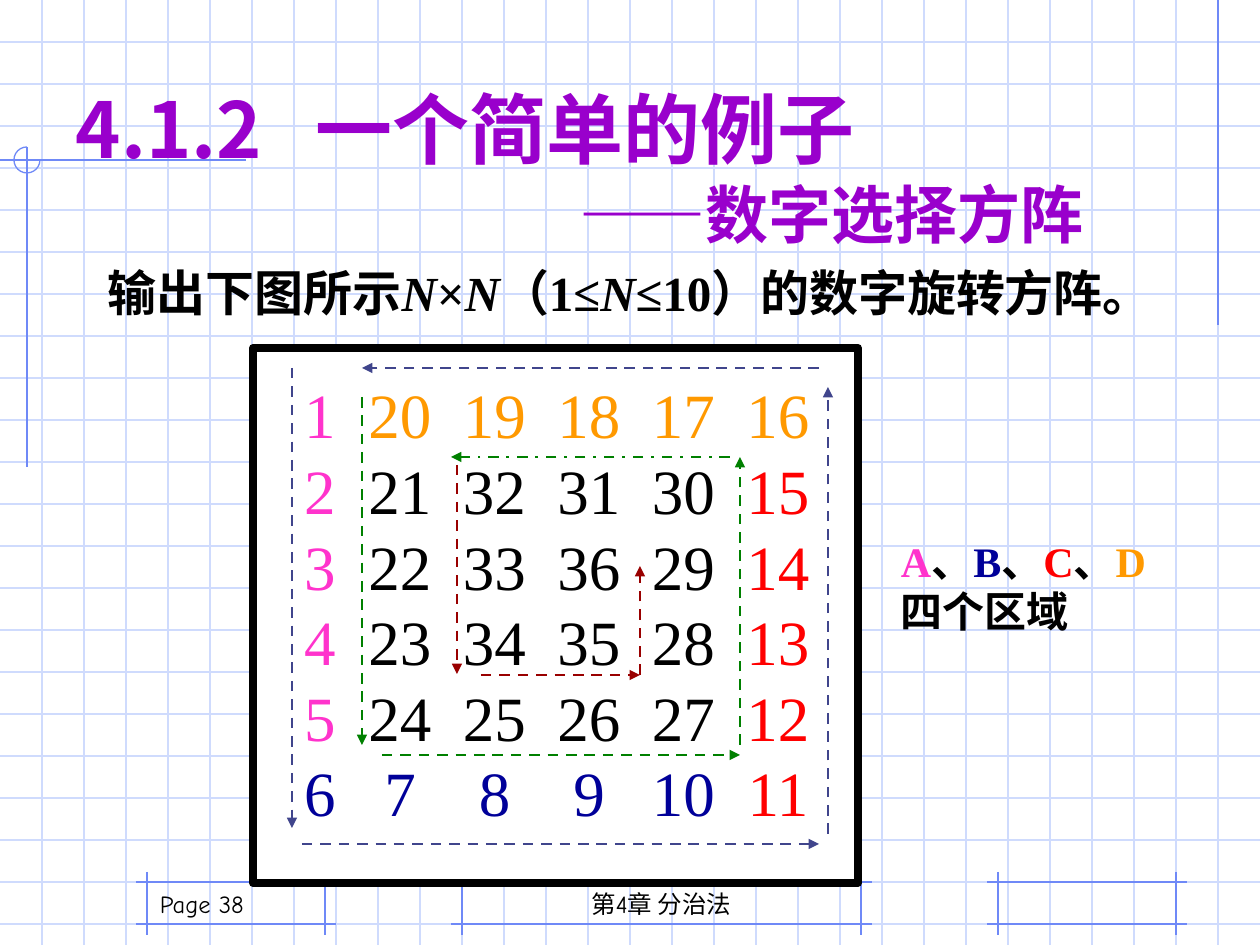
from dataclasses import dataclass
from lxml import etree
from pptx import Presentation, util as u
from pptx.dml.color import RGBColor
from pptx.enum import dml, shapes, text
from pptx.oxml.ns import qn

PX = 914400 / 126  # EMU in one px
W, H, CELL = 1260, 945, 42


@dataclass(frozen=True)
class Theme:
    grid: str = "CFDBFD"
    rule: str = "6F89F7"
    title: str = "9900CC"
    ink: str = "000000"
    paper: str = "FFFFFF"
    a: str = "FF33CC"
    b: str = "000099"
    c: str = "FF0000"
    d: str = "FF9900"
    outer: str = "40458C"
    middle: str = "008000"
    inner: str = "990000"
    serif: str = "Times New Roman"
    sans: str = "Noto Sans CJK SC"
    comic: str = "Comic Neue"
    title_size: int = 44
    subtitle_size: int = 36
    number_size: int = 36
    body_size: int = 28
    side_size: int = 24
    footer_size: int = 14


def px(n):
    return u.Emu(round(n * PX))


def rgb(value):
    return RGBColor.from_string(value)


class Deck:
    def __init__(self, theme):
        self.t = theme
        self.prs = Presentation()
        self.prs.slide_width, self.prs.slide_height = px(W), px(H)
        self.s = self.prs.slides.add_slide(self.prs.slide_layouts[5])

    def line(self, x1, y1, x2, y2, color, width=0.75, dash=None, arrow=False):
        cx = self.s.shapes.add_connector(
            shapes.MSO_CONNECTOR.STRAIGHT, px(x1), px(y1), px(x2), px(y2))
        cx.line.color.rgb = rgb(color)
        cx.line.width = u.Pt(width)
        if dash:
            cx.line.dash_style = dash
        if arrow:
            etree.SubElement(cx.line._get_or_add_ln(), qn("a:tailEnd"), type="triangle")
        etree.SubElement(cx.element.spPr, qn("a:effectLst"))

    def shape(self, kind, x, y, w, h, color, width, fill=None):
        sp = self.s.shapes.add_shape(kind, px(x), px(y), px(w), px(h))
        sp.shadow.inherit = False
        if fill:
            sp.fill.solid()
            sp.fill.fore_color.rgb = rgb(fill)
        else:
            sp.fill.background()
        sp.line.color.rgb = rgb(color)
        sp.line.width = u.Pt(width)
        return sp

    def box(self, x, y, w, h):
        return self.s.shapes.add_textbox(px(x), px(y), px(w), px(h))

    def title(self, x, y, w, h):
        sp = self.s.shapes.title
        sp.left, sp.top, sp.width, sp.height = px(x), px(y), px(w), px(h)
        sp.element.getparent().append(sp.element)  # in front of the grid
        return sp

    def frame(self, sp, insets=(13, 6, 13, 6), anchor=text.MSO_ANCHOR.TOP):
        tf = sp.text_frame
        sides = ("margin_left", "margin_top", "margin_right", "margin_bottom")
        style = dict(zip(sides, map(px, insets)), word_wrap=True,
                     auto_size=text.MSO_AUTO_SIZE.NONE, vertical_anchor=anchor)
        for name, value in style.items():
            setattr(tf, name, value)
        return tf

    def paragraph(self, tf, runs, size, font, color=None, bold=False, first=True,
                  align=text.PP_ALIGN.LEFT, spacing=None, tabs=(), tab_align="l", indent=0):
        """Each run is (text, formats that differ from the paragraph's)."""
        p = tf.paragraphs[0] if first else tf.add_paragraph()
        pPr = p._p.get_or_add_pPr()
        if indent:
            pPr.set("marL", str(px(indent)))
        if tabs:
            tab_list = etree.SubElement(pPr, qn("a:tabLst"))
            for pos in tabs:
                etree.SubElement(tab_list, qn("a:tab"), pos=str(px(pos)), algn=tab_align)
        p.alignment = align
        if spacing:
            p.line_spacing = u.Pt(spacing)
        for words, changes in runs:
            r = p.add_run()
            r.text = words
            style = dict(name=font, size=u.Pt(size), bold=bold, italic=False) | changes
            r.font.color.rgb = rgb(style.pop("color", color or self.t.ink))
            for name, value in style.items():
                setattr(r.font, name, value)
            etree.SubElement(r.font._element, qn("a:ea"), typeface=self.t.sans)


def background(d):
    t = d.t
    # Squared paper
    for y in range(CELL, H, CELL):
        d.line(0, y, W, y, t.grid)
    for x in range(CELL, W - CELL + 1, CELL):
        d.line(x, 0, x, H, t.grid)
    # Footer frames, with lines that overshoot the corners
    for left, right in ((462, 861), (998, 1176), (147, 325)):
        for y in (882, 924):
            d.line(left - 11, y, right + 11, y, t.rule)
        for x in (left, right):
            d.line(x, 872, x, 935, t.rule)
    # Corner rules and the three-quarter circle
    d.line(1218, 0, 1218, 325, t.rule)
    d.line(246, 160, 0, 160, t.rule)
    d.line(27, 147, 27, 467, t.rule)
    arc = d.shape(shapes.MSO_SHAPE.ARC, 14, 147, 26, 26, t.rule, 0.75)
    arc.adjustments[0], arc.adjustments[1] = 0, 162


def headings(d):
    t = d.t
    # Title and subtitle
    tf = d.frame(d.title(63, 125, 1182, 126), (13, 6, 13, 0), text.MSO_ANCHOR.BOTTOM)
    look = dict(font=t.sans, color=t.title, bold=True)
    d.paragraph(tf, [("4.1.2\t一个简单的例子", {})], t.title_size, spacing=55, tabs=[240], **look)
    d.paragraph(tf, [("——数字选择方阵", {})], t.subtitle_size, spacing=44, indent=504,
                first=False, **look)
    # Footer
    for x, w, words, align in ((462, 399, "第4章 分治法", text.PP_ALIGN.CENTER),
                               (147, 262, "Page 38", text.PP_ALIGN.LEFT)):
        tf = d.frame(d.box(x, 861, w, 63), anchor=text.MSO_ANCHOR.BOTTOM)
        d.paragraph(tf, [(words, {})], t.footer_size, t.comic, align=align)
    # Task
    var = ("N", {"italic": True})
    runs = [("输出下图所示", {}), var, ("×", {}), var, ("（1≤", {}), var,
            ("≤10）的数字旋转方阵。", {})]
    tf = d.frame(d.box(95, 252, 1111, 72), (13, 12, 13, 6))
    d.paragraph(tf, runs, t.body_size, t.serif, bold=True, spacing=33)


def matrix(d):
    t = d.t
    sp = d.shape(shapes.MSO_SHAPE.RECTANGLE, 253, 348, 605, 535, t.ink, 4.5, t.paper)
    tf = d.frame(sp, (5, 28, 5, 5))
    rows = ((1, 20, 19, 18, 17, 16), (2, 21, 32, 31, 30, 15), (3, 22, 33, 36, 29, 14),
            (4, 23, 34, 35, 28, 13), (5, 24, 25, 26, 27, 12), (6, 7, 8, 9, 10, 11))
    regions = (t.a, t.b, t.c, t.d)  # five numbers in each
    columns = [62] + [142 + 94.5 * i for i in range(5)]
    for i, row in enumerate(rows):
        runs = [(f"\t{n}", {"color": regions[(n - 1) // 5] if n <= 20 else t.ink})
                for n in row]
        d.paragraph(tf, runs, t.number_size, t.serif, first=i == 0, spacing=43.2,
                    tabs=columns, tab_align="ctr")
    # Spiral arrows, from the outer ring inwards
    dash, dash_dot = dml.MSO_LINE.DASH, dml.MSO_LINE.DASH_DOT
    rings = (
        (t.outer, ((292, 368, 292, 828), (302, 844, 819, 844),
                   (828, 834, 828, 387), (819, 368, 362, 368))),
        (t.middle, ((362, 397, 362, 745), (382, 755, 740, 755),
                    (740, 745, 740, 457), (730, 457, 451, 457))),
        (t.inner, ((457, 465, 457, 674), (481, 675, 640, 675), (640, 675, 640, 566))),
    )
    for color, arrows in rings:
        for i, ends in enumerate(arrows):
            style = dash_dot if color == t.middle and i == 3 else dash
            d.line(*ends, color, 1.5, style, arrow=True)


def region_note(d):
    t = d.t
    runs = []
    for name, color in zip("ABCD", (t.a, t.b, t.c, t.d)):
        runs += [(name, {"color": color}), ("四个区域" if name == "D" else "、", {})]
    tf = d.frame(d.box(888, 527, 287, 113), (13, 9, 13, 6))
    d.paragraph(tf, runs, t.side_size, t.serif, bold=True, spacing=28.5)


def main():
    d = Deck(Theme())
    background(d)
    headings(d)
    matrix(d)
    region_note(d)
    d.prs.save("out.pptx")


if __name__ == "__main__":
    main()
